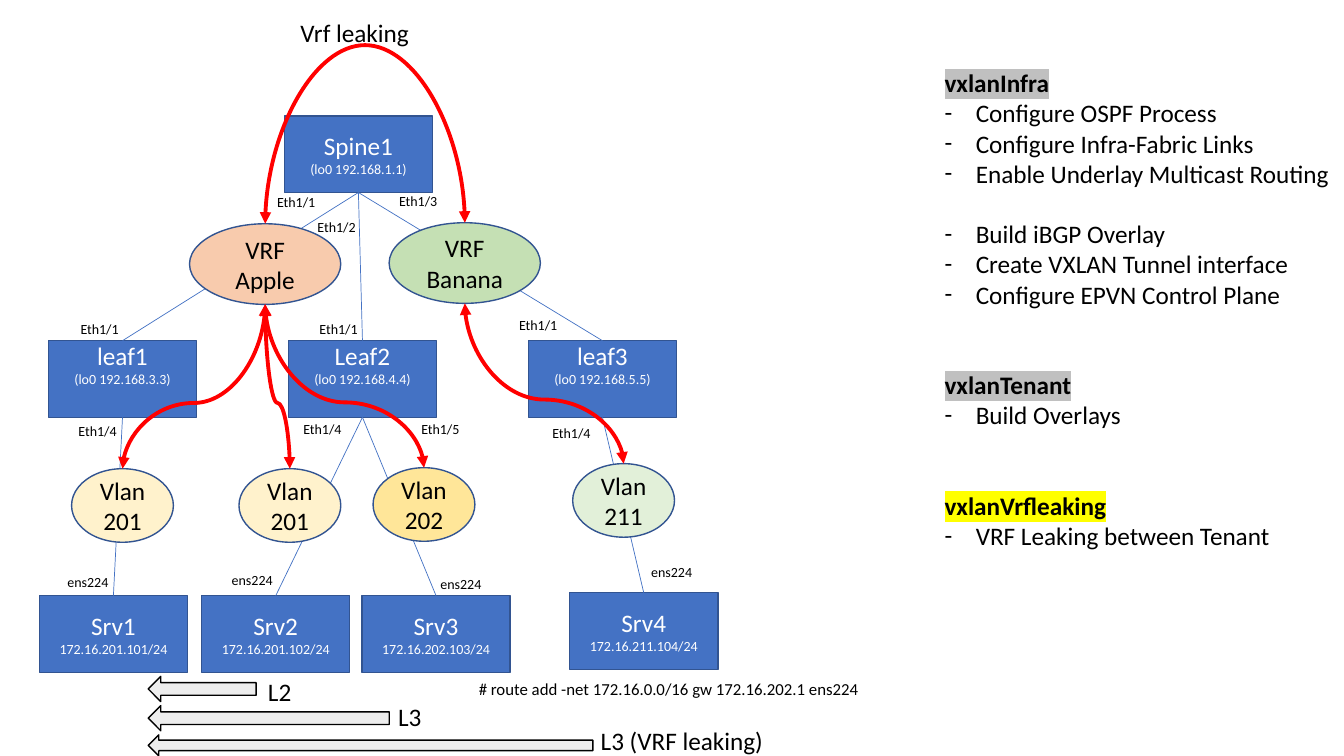
"""Build the slide on VRF leaking across a VXLAN spine-leaf fabric."""
from lxml import etree
from pptx import Presentation
from pptx.dml.color import RGBColor
from pptx.enum import shapes as kinds, text as txt
from pptx.oxml.ns import qn
from pptx.util import Inches, Pt

BLUE, NAVY = RGBColor(0x44, 0x72, 0xC4), RGBColor(0x32, 0x54, 0x91)
WHITE, BLACK = RGBColor(255, 255, 255), RGBColor(0, 0, 0)
RED, PALE_GRAY = RGBColor(255, 0, 0), RGBColor(0xED, 0xED, 0xED)
PEACH, GREEN = RGBColor(0xF8, 0xCB, 0xAD), RGBColor(0xC5, 0xE0, 0xB4)
CREAM, GOLD = RGBColor(0xFF, 0xF2, 0xCC), RGBColor(0xFF, 0xE6, 0x99)
MINT = RGBColor(0xE2, 0xF0, 0xD9)
SILVER, YELLOW = "C0C0C0", "FFFF00"
FONT = "Calibri"

DEVICE_SIZE, VRF_SIZE, VLAN_SIZE = (1.47, 0.76), (1.5, 0.8), (1.01, 0.73)
DEVICES = [
    ("Spine1", "(lo0 192.168.1.1)", 2.82, 1.15),
    ("leaf1", "(lo0 192.168.3.3)", 0.48, 3.38),
    ("Leaf2", "(lo0 192.168.4.4)", 2.86, 3.38),
    ("leaf3", "(lo0 192.168.5.5)", 5.24, 3.38),
    ("Srv1", "172.16.201.101/24", 0.39, 5.91),
    ("Srv2", "172.16.201.102/24", 2, 5.91),
    ("Srv3", "172.16.202.103/24", 3.59, 5.91),
    ("Srv4", "172.16.211.104/24", 5.65, 5.88),
]
LEAVES = ("leaf1", "Leaf2", "leaf3")
CABLES = [("Spine1", "leaf1"), ("Spine1", "Leaf2"), ("Spine1", "leaf3"),
          ("leaf1", "Srv1"), ("Leaf2", "Srv2"), ("Leaf2", "Srv3"), ("leaf3", "Srv4")]
PORTS = [
    ("Eth1/1", 2.65, 1.87), ("Eth1/2", 3.05, 2.12), ("Eth1/3", 3.86, 1.86),
    ("Eth1/1", 0.7, 3.13), ("Eth1/1", 3.07, 3.13), ("Eth1/1", 5.05, 3.09),
    ("Eth1/4", 0.68, 4.14), ("Eth1/4", 2.91, 4.12), ("Eth1/5", 4.08, 4.12),
    ("Eth1/4", 5.38, 4.16), ("ens224", 0.57, 5.64), ("ens224", 2.2, 5.62),
    ("ens224", 4.27, 5.66), ("ens224", 6.36, 5.54),
]
VRFS = {"Apple": (1.88, 2.22, PEACH), "Banana": (3.86, 2.21, GREEN)}
VLANS = [
    ("201", 0.71, 4.65, CREAM, "Apple"),
    ("201", 2.37, 4.65, CREAM, "Apple"),
    ("202", 3.7, 4.64, GOLD, "Apple"),
    ("211", 5.68, 4.6, MINT, "Banana"),
]
LEAK_TOP, VLAN_BEND = 0.42, 0.6
REACH = [(6.71, 1.07, 0.25), (7, 2.39, 0.25), (7.29, 4.41, 0.21)]
REACH_LEFT = 1.47
CAPTIONS = [
    ("Vrf leaking", 2.88, 0.12, 1.29, 0.4, 18),
    ("L2", 2.56, 6.66, 0.44, 0.4, 18),
    ("L3", 3.85, 6.91, 0.44, 0.4, 18),
    ("L3 (VRF leaking)", 5.86, 7.15, 1.83, 0.4, 18),
    ("# route add -net 172.16.0.0/16 gw 172.16.202.1 ens224", 4.65, 6.68, 4.02, 0.3, 12),
]
PLAYBOOKS = [
    ("vxlanInfra", SILVER, [
        ["Configure OSPF Process", "Configure Infra-Fabric Links",
         "Enable Underlay Multicast Routing"],
        ["Build iBGP Overlay", "Create VXLAN Tunnel interface",
         "Configure EPVN Control Plane"]]),
    ("vxlanTenant", SILVER, [["Build Overlays"]]),
    ("vxlanVrfleaking", YELLOW, [["VRF Leaking between Tenant"]]),
]
LINE_GAP = 21.5

deck = Presentation()
deck.slide_width, deck.slide_height = Inches(13.33), Inches(7.5)
slide = deck.slides.add_slide(deck.slide_layouts[6])


def inches(*lengths):
    return [Inches(length) for length in lengths]


def style(paragraph, size, color=BLACK, bold=False):
    for run in paragraph.runs:
        run.font.size, run.font.bold = Pt(size), bold
        run.font.color.rgb, run.font.name = color, FONT


def add_node(kind, box, fill, outline, lines=(), sizes=(), color=BLACK):
    node = slide.shapes.add_shape(kind, *inches(*box))
    node.shadow.inherit = False
    node.fill.solid()
    node.fill.fore_color.rgb = fill
    node.line.color.rgb, node.line.width = outline, Pt(1)
    node.text_frame.text = "\n".join(lines)
    for paragraph, size in zip(node.text_frame.paragraphs, sizes):
        paragraph.alignment = txt.PP_ALIGN.CENTER
        style(paragraph, size, color)
    return node


def add_text(wording, left, top, width, height, size):
    frame = slide.shapes.add_textbox(*inches(left, top, width, height)).text_frame
    frame.word_wrap = False
    frame.auto_size = txt.MSO_AUTO_SIZE.SHAPE_TO_FIT_TEXT
    frame.text = wording
    style(frame.paragraphs[0], size)
    return frame


def add_line(kind, ends, color, width):
    line = slide.shapes.add_connector(kind, *inches(*ends))
    line.line.color.rgb, line.line.width = color, Pt(width)
    etree.SubElement(line._element.spPr, qn("a:effectLst"))
    return line


def add_curve(start, end, turn, flips, bend):
    """Draw a two-headed curve that leaves and arrives vertically."""
    (x1, y1), (x2, y2) = start, end
    run, rise = abs(x2 - x1), abs(y2 - y1)
    left, top = (x1 + x2 - rise) / 2, (y1 + y2 - run) / 2
    curve = add_line(kinds.MSO_CONNECTOR.CURVE, (left, top, left + rise, top + run), RED, 2.75)
    xfrm = curve._element.spPr.find(qn("a:xfrm"))
    xfrm.set("rot", str(turn * 60000))
    for flip in flips:
        xfrm.set(flip, "1")
    adjust = curve._element.spPr.find(qn("a:prstGeom")).get_or_add_avLst()
    etree.SubElement(adjust, qn("a:gd"), name="adj1", fmla=f"val {round(bend * 100000)}")
    stroke = curve.line._get_or_add_ln()
    for tip in ("a:headEnd", "a:tailEnd"):
        etree.SubElement(stroke, qn(tip), type="triangle")


devices = {
    name: add_node(kinds.MSO_SHAPE.RECTANGLE, (left, top, *DEVICE_SIZE), BLUE, NAVY,
                   (name, address), (18, 10), WHITE)
    for name, address, left, top in DEVICES
}
for leaf in LEAVES:
    devices[leaf].text_frame.vertical_anchor = txt.MSO_ANCHOR.TOP
    devices[leaf].text_frame.margin_top = 0
for upper, lower in CABLES:
    cable = add_line(kinds.MSO_CONNECTOR.STRAIGHT, (0, 0, 1, 1), BLUE, 0.5)
    cable.begin_connect(devices[upper], 2)
    cable.end_connect(devices[lower], 0)
for port, left, top in PORTS:
    add_text(port, left, top, 0.62 if port == "ens224" else 0.59, 0.27, 10)

for name, (left, top, fill) in VRFS.items():
    add_node(kinds.MSO_SHAPE.OVAL, (left, top, *VRF_SIZE), fill, NAVY, ("VRF", name), (18, 18))
for number, left, top, fill, vrf in VLANS:
    add_node(kinds.MSO_SHAPE.OVAL, (left, top, *VLAN_SIZE), fill, NAVY,
             ("Vlan", number), (18, 18))

vrf_tops = {name: (left + VRF_SIZE[0] / 2, top) for name, (left, top, fill) in VRFS.items()}
for number, left, top, fill, vrf in VLANS:
    x, y = vrf_tops[vrf]
    vlan_x = left + VLAN_SIZE[0] / 2
    turn, flips = (90, ()) if vlan_x < x else (270, ("flipH",))
    add_curve((x, y + VRF_SIZE[1]), (vlan_x, top), turn, flips, VLAN_BEND)
apple, banana = vrf_tops["Apple"], vrf_tops["Banana"]
add_curve(apple, banana, 90, ("flipH", "flipV"),
          (apple[1] - LEAK_TOP) / (apple[1] - banana[1]))

for top, width, height in REACH:
    add_node(kinds.MSO_SHAPE.LEFT_ARROW, (REACH_LEFT, top, width, height), PALE_GRAY, BLACK)
for caption in CAPTIONS:
    add_text(*caption)

panel = add_text(PLAYBOOKS[0][0], 9.27, 0.62, 4.06, 5.25, 18)
for index, (playbook, marker, groups) in enumerate(PLAYBOOKS):
    heading = panel.add_paragraph() if index else panel.paragraphs[0]
    heading.text = playbook
    heading.space_before = Pt(2 * LINE_GAP if index else 0)
    style(heading, 18, bold=True)
    highlight = etree.Element(qn("a:highlight"))
    etree.SubElement(highlight, qn("a:srgbClr"), val=marker)
    heading.runs[0].font._element.find(qn("a:solidFill")).addnext(highlight)
    for group_index, tasks in enumerate(groups):
        for task_index, task in enumerate(tasks):
            item = panel.add_paragraph()
            item.text = task
            item.space_before = Pt(LINE_GAP if group_index and not task_index else 0)
            style(item, 18)
            layout = item._p.get_or_add_pPr()
            layout.set("marL", str(Inches(0.31)))
            layout.set("indent", str(-Inches(0.31)))
            etree.SubElement(layout, qn("a:buFont"), typeface=FONT)
            etree.SubElement(layout, qn("a:buChar"), char="-")

deck.save("out.pptx")
